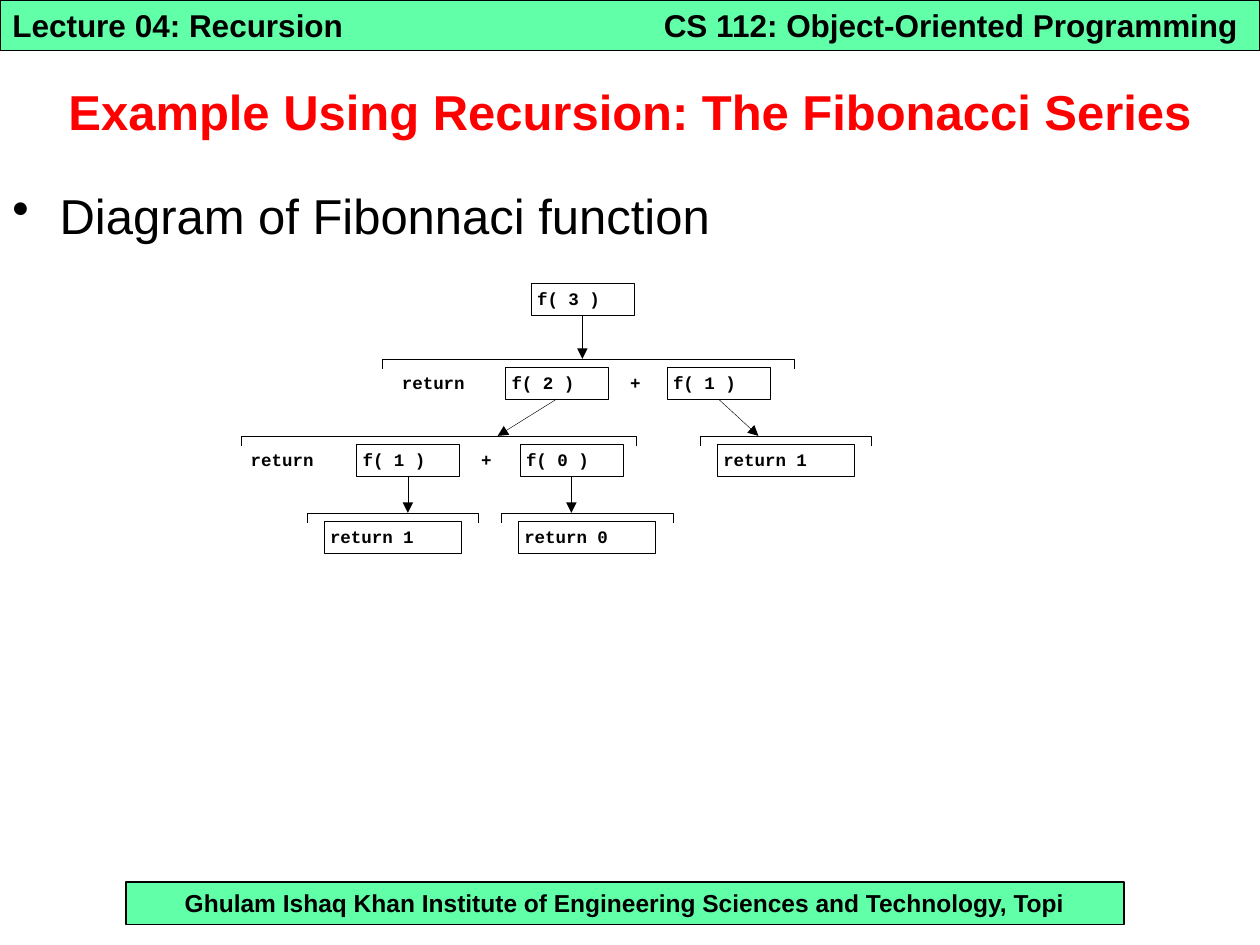
import pptx
import pptx.util
import pptx.dml.color
import pptx.enum.shapes
import pptx.enum.text
import pptx.oxml
import pptx.oxml.ns
from pptx.util import Pt

ALIGN = pptx.enum.text.PP_ALIGN
ANCHOR = pptx.enum.text.MSO_ANCHOR

THEME = {
    "bar": "61FFA8",
    "ink": "000000",
    "bar_line": 0.75,
    "diagram_line": 0.25,
    "title": {"name": "Arial", "size": 28, "bold": True, "color": "FF0000"},
    "body": {"name": "Arial", "size": 28, "bold": False, "color": "000000"},
    "header": {"name": "Arial", "size": 18, "bold": True, "color": "000000"},
    "footer": {"name": "Arial", "size": 14, "bold": True, "color": "000000"},
    "code": {"name": "Courier New", "size": 10, "bold": True, "color": "000000"},
}

# text, style, (left, top, width, height), alignment, anchor
BARS = [
    ("Ghulam Ishaq Khan Institute of Engineering Sciences and Technology, Topi",
     "footer", (72, 504, 570.24, 24.5), ALIGN.CENTER, ANCHOR.TOP),
    ("Lecture 04: Recursion", "header", (0, 0, 720, 28.8), ALIGN.LEFT, ANCHOR.TOP),
]
TEXTS = [
    ("CS 112: Object-Oriented Programming", "header",
     (372.24, 0, 347.76, 28.8), ALIGN.LEFT, ANCHOR.TOP),
    ("Example Using Recursion: The Fibonacci Series", "title",
     (0, 30.24, 720, 66.24), ALIGN.CENTER, ANCHOR.MIDDLE),
]
BODY = ("Diagram of Fibonnaci function", "body",
        (0, 102.24, 720, 401.76), ALIGN.LEFT, ANCHOR.TOP)

BOX_TOPS = [162, 210, 254, 298]
BOX_HEIGHT = 18
CALL_WIDTH, RETURN_WIDTH = 59, 78.5
BRACKET_RISE, BRACKET_HEIGHT = 4.9, 6
LABEL_DROP = 2.3

# key: (text, level, left)
BOXES = {
    "f3": ("f( 3 )", 0, 303.3),
    "f2": ("f( 2 )", 1, 288.7),
    "f1 right": ("f( 1 )", 1, 381),
    "f1 left": ("f( 1 )", 2, 203.6),
    "f0": ("f( 0 )", 2, 297),
    "result f1 right": ("return 1", 2, 409.7),
    "result f1 left": ("return 1", 3, 185),
    "result f0": ("return 0", 3, 296),
}
# level, left, width
BRACKETS = [(1, 218.3, 235.5), (2, 138, 225.5), (2, 400, 98),
            (3, 175.5, 98), (3, 286.5, 98)]
# text, level, left, width
LABELS = [("return", 1, 229.7, 61.9), ("+", 1, 360, 13),
          ("return", 2, 143.3, 61.9), ("+", 2, 275, 13)]
# calling box, level of the bracket below, end x (None = straight down)
ARROWS = [("f3", 1, None), ("f2", 2, 284.4), ("f1 right", 2, 433.4),
          ("f1 left", 3, None), ("f0", 3, None)]


def rgb(value):
    return pptx.dml.color.RGBColor.from_string(value)


def bracket_top(level):
    return BOX_TOPS[level] - BRACKET_RISE


def set_line(shape, width):
    shape.line.color.rgb = rgb(THEME["ink"])
    shape.line.width = Pt(width)


def write(shape, text, style, align=ALIGN.LEFT, anchor=ANCHOR.TOP,
          insets=(7.2, 3.6, 7.2, 3.6), bullet_indent=None):
    """Fill a shape with one formatted paragraph; insets are left, top, right, bottom."""
    frame = shape.text_frame
    left, top, right, bottom = map(Pt, insets)
    settings = {"word_wrap": True, "vertical_anchor": anchor, "margin_left": left,
                "margin_top": top, "margin_right": right, "margin_bottom": bottom}
    for name, value in settings.items():
        setattr(frame, name, value)
    paragraph = frame.paragraphs[0]
    paragraph.text = text
    paragraph.alignment = align
    if bullet_indent:
        properties = paragraph._p.get_or_add_pPr()
        properties.set("marL", str(Pt(bullet_indent)))
        properties.set("indent", str(-Pt(bullet_indent)))
        bullet = pptx.oxml.ns.qn("a:buChar")
        properties.append(properties.makeelement(bullet, {"char": "•"}))
    font = paragraph.runs[0].font
    values = THEME[style]
    for name, value in {"name": values["name"], "size": Pt(values["size"]),
                        "bold": values["bold"]}.items():
        setattr(font, name, value)
    font.color.rgb = rgb(values["color"])


def add_box(slide, bounds, line_width, fill=None):
    shape = slide.shapes.add_shape(
        pptx.enum.shapes.MSO_SHAPE.RECTANGLE, *map(Pt, bounds))
    shape.shadow.inherit = False
    if fill:
        shape.fill.solid()
        shape.fill.fore_color.rgb = rgb(fill)
    else:
        shape.fill.background()
    set_line(shape, line_width)
    return shape


def add_text(slide, bounds, *content, **options):
    write(slide.shapes.add_textbox(*map(Pt, bounds)), *content, **options)


def add_bracket(slide, level, left, width):
    top = bracket_top(level)
    foot, right = top + BRACKET_HEIGHT, left + width
    builder = slide.shapes.build_freeform(Pt(right), Pt(foot))
    corners = [(right, top), (left, top), (left, foot)]
    builder.add_line_segments([(Pt(x), Pt(y)) for x, y in corners], close=False)
    shape = builder.convert_to_shape()
    shape.shadow.inherit = False
    shape.fill.background()
    set_line(shape, THEME["diagram_line"])


def add_arrow(slide, box, level, end_x):
    start_x = box.left + box.width // 2
    connector = slide.shapes.add_connector(
        pptx.enum.shapes.MSO_CONNECTOR.STRAIGHT, start_x, box.top + box.height,
        start_x if end_x is None else Pt(end_x), Pt(bracket_top(level)))
    connector.begin_connect(box, 2)
    set_line(connector, THEME["diagram_line"])
    line = connector.line._get_or_add_ln()
    line.append(line.makeelement(pptx.oxml.ns.qn("a:tailEnd"), {"type": "triangle"}))
    properties = connector._element.spPr
    properties.append(properties.makeelement(pptx.oxml.ns.qn("a:effectLst"), {}))


def add_diagram(slide):
    for bracket in BRACKETS:
        add_bracket(slide, *bracket)
    boxes = {}
    for key, (text, level, left) in BOXES.items():
        width = RETURN_WIDTH if text.startswith("return") else CALL_WIDTH
        bounds = (left, BOX_TOPS[level], width, BOX_HEIGHT)
        boxes[key] = add_box(slide, bounds, THEME["diagram_line"])
        write(boxes[key], text, "code", insets=(3.6, LABEL_DROP, 0, 0))
    for key, level, end_x in ARROWS:
        add_arrow(slide, boxes[key], level, end_x)
    for text, level, left, width in LABELS:
        bounds = (left, BOX_TOPS[level] + LABEL_DROP, width, 13.7)
        add_text(slide, bounds, text, "code", insets=(0, 0, 0, 0))


def main():
    presentation = pptx.Presentation()
    presentation.slide_width, presentation.slide_height = Pt(720), Pt(540)
    slide = presentation.slides.add_slide(presentation.slide_layouts[6])
    for text, style, bounds, align, anchor in BARS:
        bar = add_box(slide, bounds, THEME["bar_line"], THEME["bar"])
        write(bar, text, style, align, anchor)
    for text, style, bounds, align, anchor in TEXTS:
        add_text(slide, bounds, text, style, align, anchor)
    text, style, bounds, align, anchor = BODY
    add_text(slide, bounds, text, style, align, anchor, bullet_indent=27)
    add_diagram(slide)
    presentation.save("out.pptx")


if __name__ == "__main__":
    main()
